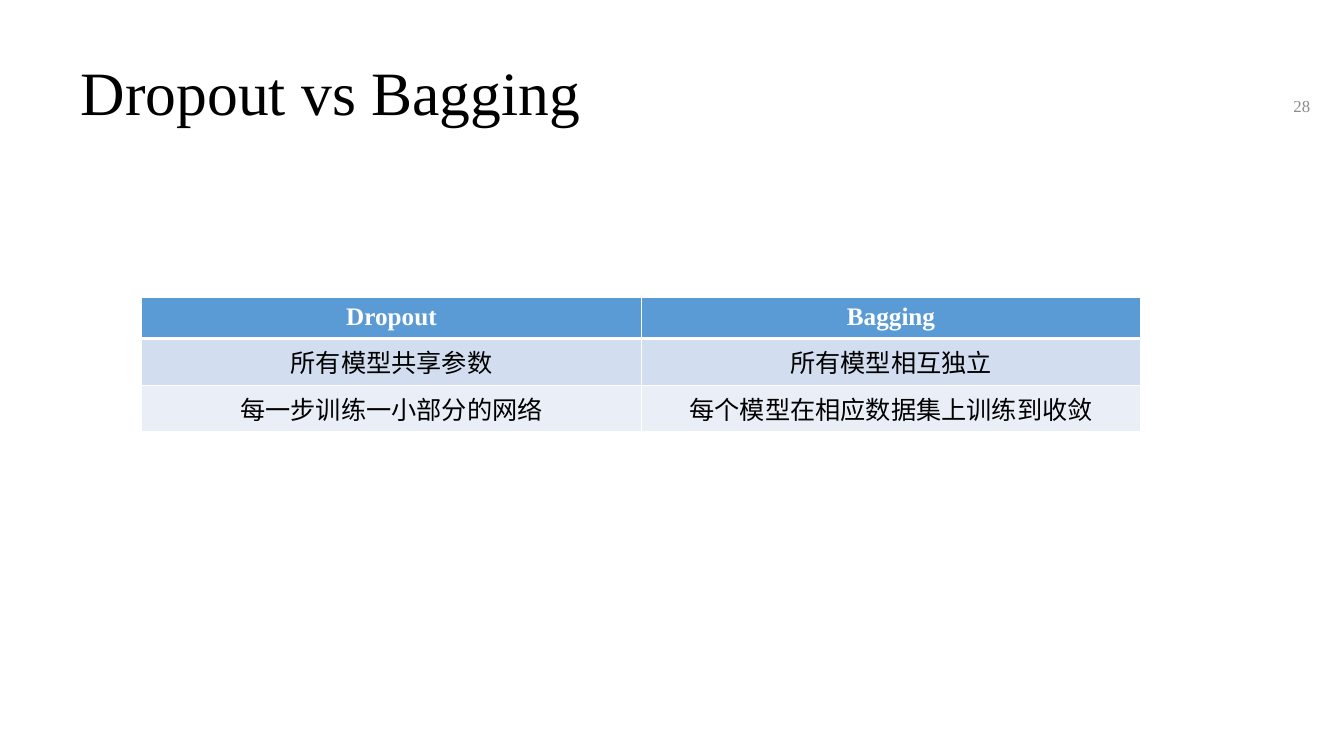
from lxml import etree
from pptx import Presentation
from pptx.dml.color import RGBColor
from pptx.enum.text import MSO_ANCHOR, PP_ALIGN
from pptx.oxml.ns import qn
from pptx.util import Cm, Pt

MIDDLE = MSO_ANCHOR.MIDDLE
LEFT, CENTER, RIGHT = PP_ALIGN.LEFT, PP_ALIGN.CENTER, PP_ALIGN.RIGHT

# Content
TITLE = "Dropout vs Bagging"
PAGE_NUMBER = "28"
COMPARISON = [
    ("Dropout", "Bagging"),
    ("所有模型共享参数", "所有模型相互独立"),
    ("每一步训练一小部分的网络", "每个模型在相应数据集上训练到收敛"),
]

# Look
FONT = "Times New Roman"
COLORS = {"text": "000000", "white": "FFFFFF", "number": "8C8C8C", "header": "5B9BD5"}
ROW_FILLS = [COLORS["header"], "D2DEEF", "EAEFF7"]
COLUMN_WIDTH, ROW_HEIGHT = Cm(12.59), Cm(1.03)
THIN, THICK = Pt(1), Pt(3)


def write(frame, text, size, color, align, bold=False):
    frame.text = text
    para = frame.paragraphs[0]
    para.alignment = align
    para.font.name = FONT
    para.font.size = Pt(size)
    para.font.bold = bold
    para.font.color.rgb = RGBColor.from_string(color)
    return para


def add_borders(cell, top, bottom):
    properties = cell._tc.get_or_add_tcPr()
    for side, width in (("L", THIN), ("R", THIN), ("T", top), ("B", bottom)):
        line = etree.SubElement(properties, qn(f"a:ln{side}"), w=str(int(width)))
        fill = etree.SubElement(line, qn("a:solidFill"))
        etree.SubElement(fill, qn("a:srgbClr"), val=COLORS["white"])


deck = Presentation()
deck.slide_width, deck.slide_height = Cm(33.87), Cm(19.05)
page = deck.slides.add_slide(deck.slide_layouts[5])

# Title
title = page.shapes.title
title.left, title.top, title.width, title.height = Cm(1.78), Cm(1.02), Cm(30.38), Cm(2.77)
heading = write(title.text_frame, TITLE, 44, COLORS["text"], LEFT)
heading.line_spacing = 0.9
title.text_frame.vertical_anchor = MIDDLE

# Comparison table
row_count, column_count = len(COMPARISON), len(COMPARISON[0])
table = page.shapes.add_table(
    row_count, column_count, Cm(3.57), Cm(7.5),
    COLUMN_WIDTH * column_count, ROW_HEIGHT * row_count).table
for column in table.columns:
    column.width = COLUMN_WIDTH
for row, texts in enumerate(COMPARISON):
    table.rows[row].height = ROW_HEIGHT
    is_header = row == 0
    color = COLORS["white" if is_header else "text"]
    for column, text in enumerate(texts):
        cell = table.cell(row, column)
        write(cell.text_frame, text, 18, color, CENTER, bold=is_header)
        add_borders(cell, THICK if row == 1 else THIN, THICK if is_header else THIN)
        cell.fill.solid()
        cell.fill.fore_color.rgb = RGBColor.from_string(ROW_FILLS[row])

# Page number
number = page.shapes.add_textbox(Cm(25.65), Cm(2.16), Cm(7.62), Cm(1.02))
number.text_frame.word_wrap = True
number.text_frame.vertical_anchor = MIDDLE
write(number.text_frame, PAGE_NUMBER, 12, COLORS["number"], RIGHT)

deck.save("out.pptx")
